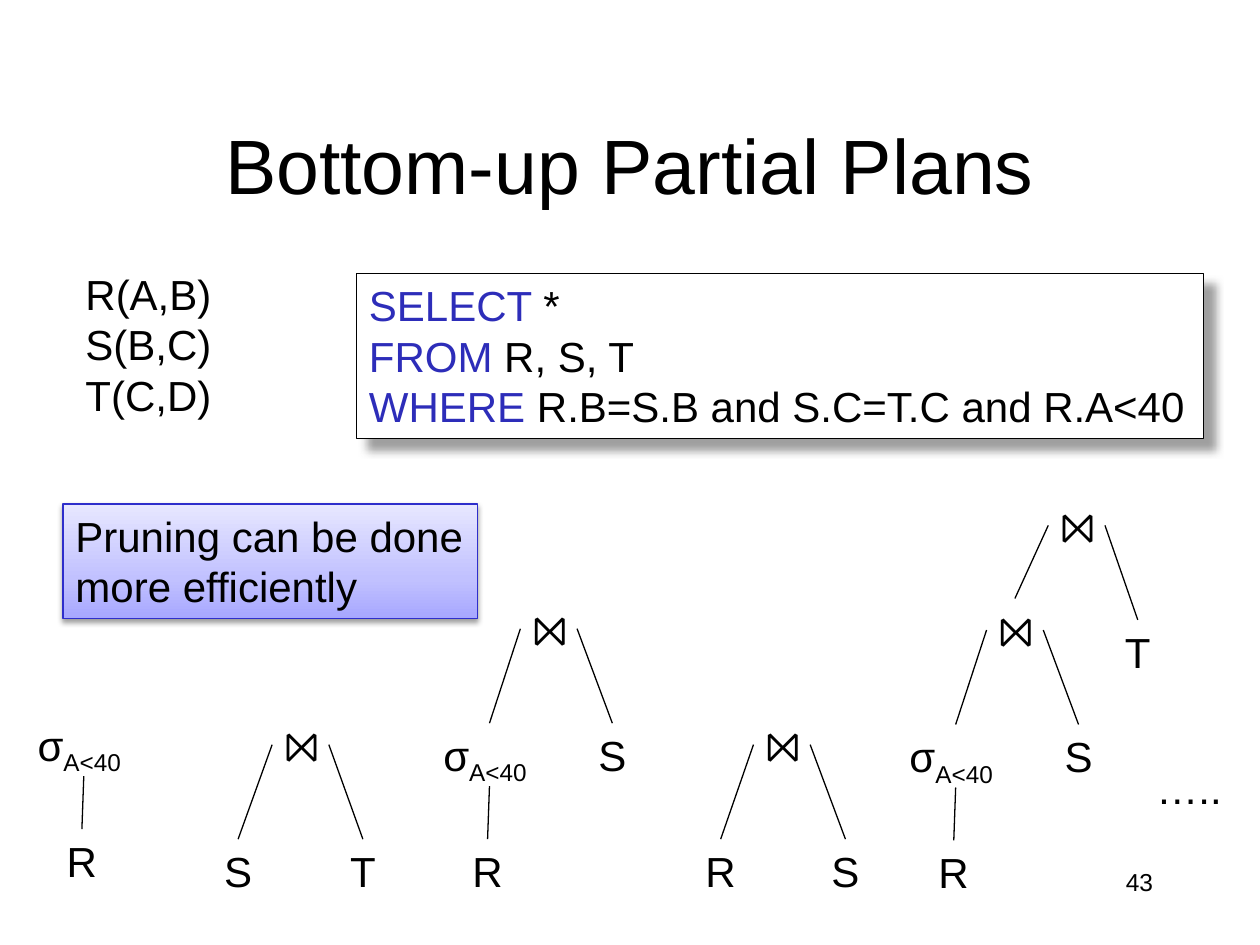
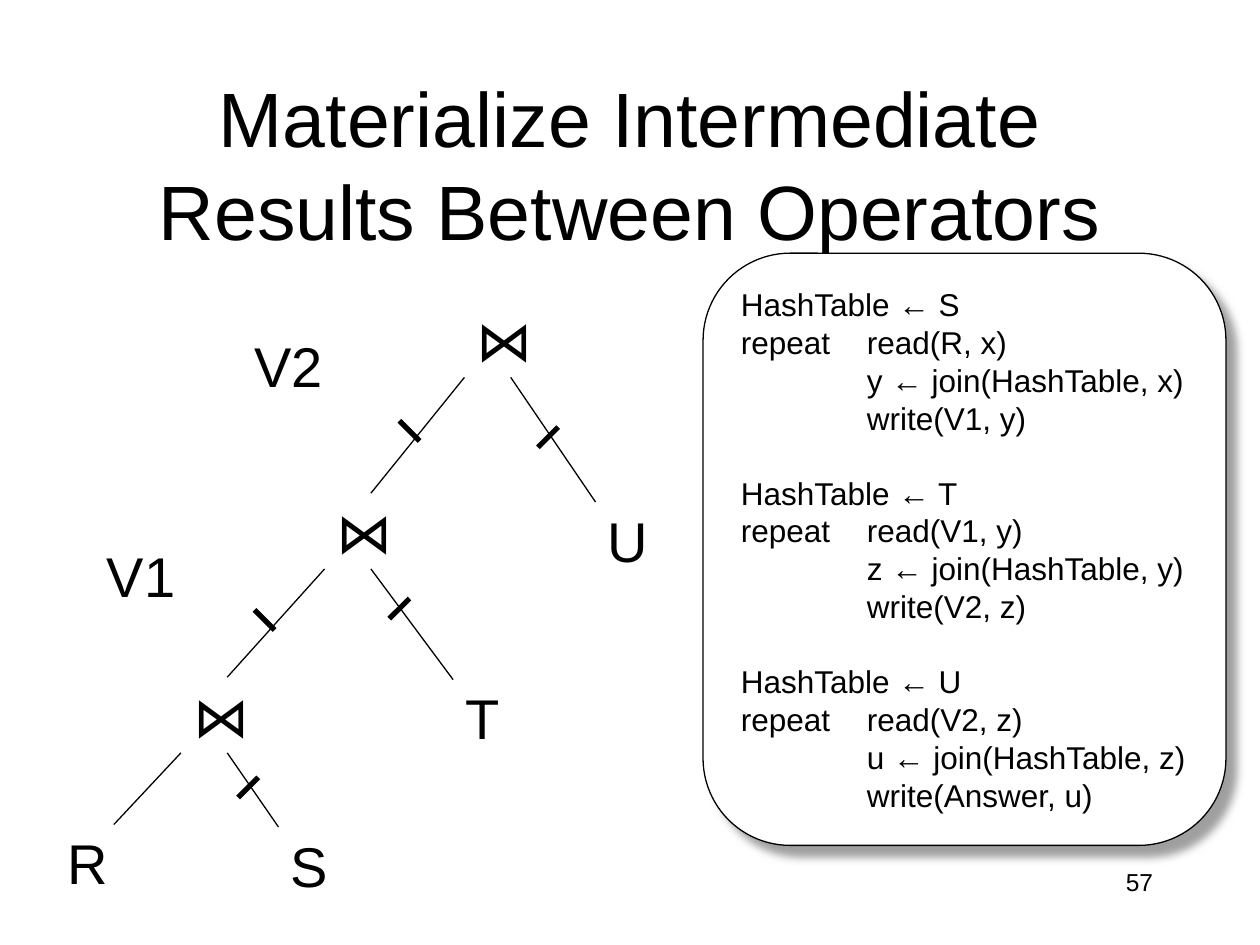
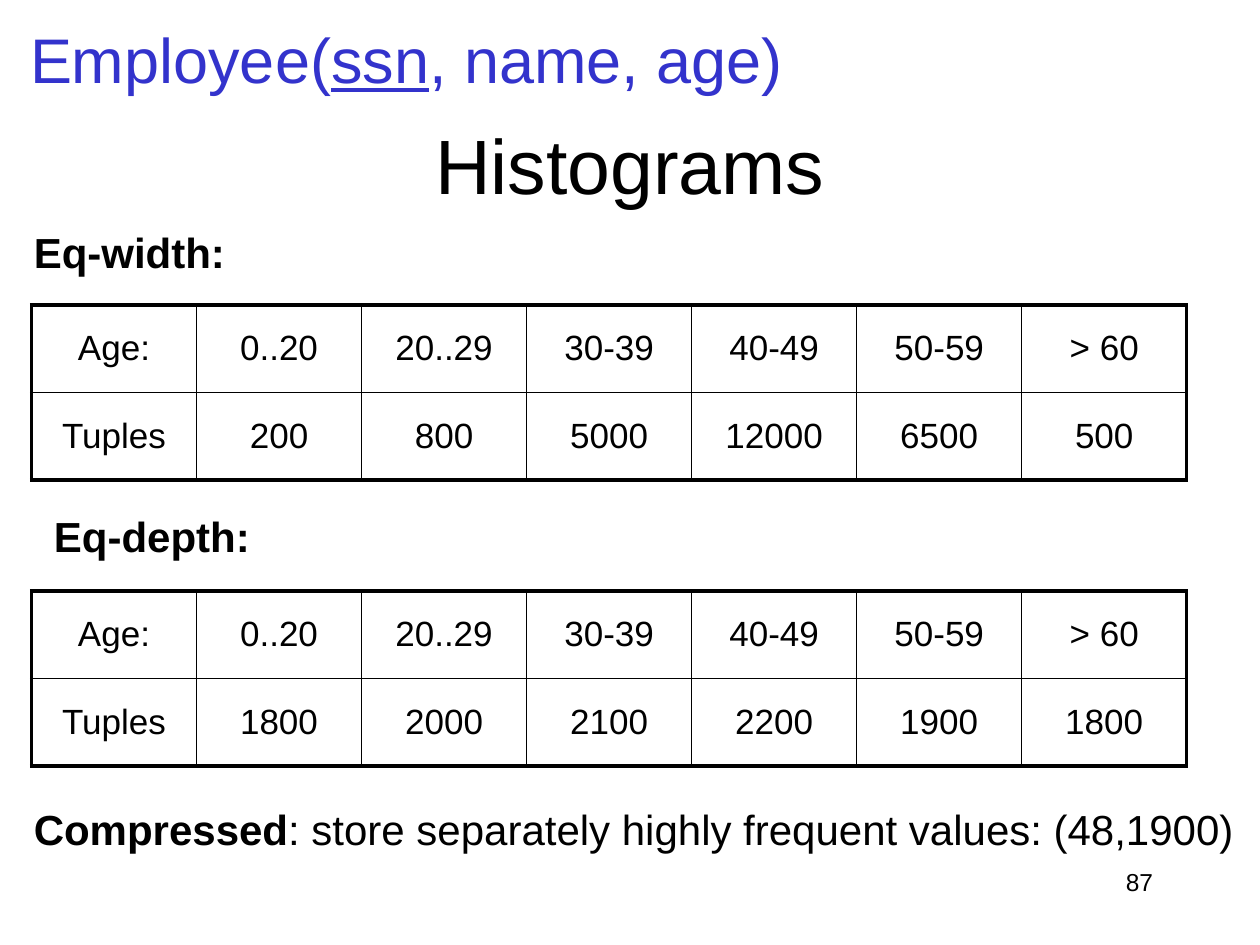
from math import sqrt

from lxml.etree import SubElement
from pptx import Presentation
from pptx.dml.color import RGBColor
from pptx.enum.shapes import MSO_CONNECTOR, MSO_SHAPE
from pptx.enum.text import MSO_ANCHOR, MSO_AUTO_SIZE, PP_ALIGN
from pptx.oxml.ns import qn
from pptx.util import Inches, Pt

BLACK = RGBColor(0x00, 0x00, 0x00)
WHITE = RGBColor(0xFF, 0xFF, 0xFF)
GRAY = RGBColor(0x80, 0x80, 0x80)
KEYWORD = RGBColor(0x2D, 0x2D, 0xB9)
SCHEMA = RGBColor(0x33, 0x33, 0xCC)
NOTE_EDGE = RGBColor(0x2E, 0x2E, 0xCB)
NOTE_STOPS = [(0, "A7A7FF"), (35, "C1C1FF"), (100, "E7E7FF")]
FONT = "Arial"
WIDTH, HEIGHT = 10, 7.5
TITLE_AREA = (0.75, 0.67, 8.5, 1.25)
NUMBER_AREA = (7.17, 6.83, 2.08, 0.5)
# colour, opacity %, blur pt, distance pt, angle
PANEL_SHADOW = (GRAY, 75, 5, 8.5, 45)
NOTE_SHADOW = (BLACK, 38, 3.1, 1.6, 90)

# A paragraph is a list of (text, style) runs; \v is a line break.
BOLD, SUB, BLUE = {"bold": True}, {"baseline": -25}, {"color": KEYWORD}
RELATIONS = "R(A,B)\vS(B,C)\vT(C,D)"
QUERY = [
    [("SELECT ", BLUE), ("*", {})],
    [("FROM", BLUE), (" R, S, T", {})],
    [("WHERE", BLUE), (" R.B=S.B and S.C=T.C and R.A<40", {})],
]
NOTE = "Pruning can be done\vmore efficiently"

# Plan node: symbol, left, top, children
JOIN, SELECTION = "\u2a1d", "\u03c3"
PLAN_WIDTHS = {JOIN: 0.45, SELECTION: 0.93, "R": 0.44, "S": 0.42, "T": 0.4}
PLAN_HEIGHT = 0.5
PLANS = [
    (SELECTION, 0.2, 5.66, [("R", 0.43, 6.58, [])]),
    (JOIN, 2.16, 5.66, [("S", 1.68, 6.66, []), ("T", 2.68, 6.66, [])]),
    (JOIN, 4.13, 4.74, [
        (SELECTION, 3.42, 5.74, [("R", 3.65, 6.66, [])]),
        ("S", 4.65, 5.74, [])]),
    (JOIN, 5.98, 5.66, [("R", 5.5, 6.66, []), ("S", 6.5, 6.66, [])]),
    (JOIN, 8.32, 3.92, [
        (JOIN, 7.83, 4.75, [
            (SELECTION, 7.12, 5.75, [("R", 7.35, 6.67, [])]),
            ("S", 8.35, 5.75, [])]),
        ("T", 8.83, 4.92, [])]),
]

# Pipeline node: symbol, left, top, children as (node, centre of the tick or None)
BOWTIE = "\u22c8"
PIPELINE_WIDTHS = {BOWTIE: 0.52, "R": 0.66, "S": 0.62, "T": 0.59, "U": 0.66}
PIPELINE_HEIGHT = 0.85
TICK = 0.08
PIPELINE = (BOWTIE, 3.61, 2.27, [
    ((BOWTIE, 2.5, 3.79, [
        ((BOWTIE, 1.36, 5.25, [
            (("R", 0.34, 6.42, []), None),
            (("S", 2.12, 6.44, []), (1.97, 6.25))]), (2.1, 4.92)),
        (("T", 3.51, 5.27, []), (3.17, 4.83))]), (3.25, 3.42)),
    (("U", 4.63, 3.86, []), (4.35, 3.47)),
])
VIEWS = [("V1", 0.75, 4.25), ("V2", 1.92, 2.58)]
# hashed relation, source read, variable read, variable written, target
STEPS = [("S", "R", "x", "y", "V1"), ("T", "V1", "y", "z", "V2"),
         ("U", "V2", "z", "u", "Answer")]
STEP_TEXT = ("HashTable \u2190 {}\vrepeat\tread({}, {})\v"
             "\t{} \u2190 join(HashTable, {})\v\twrite({}, {})")
STEP_GAP, STEP_TAB = 21.3, 1

EMPLOYEE = [("Employee(", {}), ("ssn", {"underline": True}), (", name, age)", {})]
AGES = ["Age:", "0..20", "20..29", "30-39", "40-49", "50-59", "> 60"]
HISTOGRAMS = [
    ("Eq-width:", (0.17, 1.75, 1.72, 0.5), 2.42,
     ["Tuples", "200", "800", "5000", "12000", "6500", "500"]),
    ("Eq-depth:", (0.33, 4, 1.76, 0.5), 4.69,
     ["Tuples", "1800", "2000", "2100", "2200", "1900", "1800"]),
]
TABLE_LEFT, TABLE_WIDTH, TABLE_HEIGHT = 0.25, 9.17, 1.39
COMPRESSED = [("Compressed", BOLD),
              (": store separately highly frequent values: (48,1900)", {})]


def style_run(run, size, color=BLACK, bold=False, underline=False, baseline=0):
    """Give one run its font."""
    font = run.font
    font.name, font.size, font.bold, font.underline = FONT, Pt(size), bold, underline
    font.color.rgb = color
    if baseline:
        run._r.get_or_add_rPr().set("baseline", str(baseline * 1000))


def write(frame, paragraphs, size, color=BLACK, align=PP_ALIGN.LEFT,
          anchor=MSO_ANCHOR.TOP, wrap=False):
    """Fill a text frame from a string or from a list of paragraphs."""
    if isinstance(paragraphs, str):
        paragraphs = [[(paragraphs, {})]]
    frame.word_wrap = wrap
    frame.vertical_anchor = anchor
    frame.auto_size = MSO_AUTO_SIZE.NONE if wrap else MSO_AUTO_SIZE.SHAPE_TO_FIT_TEXT
    for index, runs in enumerate(paragraphs):
        paragraph = frame.add_paragraph() if index else frame.paragraphs[0]
        paragraph.alignment = align
        if len(runs) == 1:
            paragraph.text = runs[0][0]
            for run in paragraph.runs:
                style_run(run, size, **{"color": color, **runs[0][1]})
            continue
        for text, style in runs:
            run = paragraph.add_run()
            run.text = text
            style_run(run, size, **{"color": color, **style})


def add_text(slide, area, paragraphs, size, **options):
    """Add a text box over an area in inches."""
    box = slide.shapes.add_textbox(*map(Inches, area))
    write(box.text_frame, paragraphs, size, **options)
    return box.text_frame


def add_line(slide, start, end, weight=0.75):
    """Draw a black line without shadow."""
    line = slide.shapes.add_connector(MSO_CONNECTOR.STRAIGHT,
                                      *map(Inches, (*start, *end)))
    line.line.color.rgb = BLACK
    line.line.width = Pt(weight)
    SubElement(line._element.spPr, qn("a:effectLst"))


def add_shadow(shape, color, opacity, blur, distance, angle):
    """Replace the theme shadow by an outer one."""
    shape.shadow.inherit = False
    effects = shape._element.spPr.find(qn("a:effectLst"))
    outer = SubElement(effects, qn("a:outerShdw"), blurRad=str(Pt(blur)),
                       dist=str(Pt(distance)), dir=str(angle * 60000),
                       algn="tl", rotWithShape="0")
    tint = SubElement(outer, qn("a:srgbClr"), val=str(color))
    SubElement(tint, qn("a:alpha"), val=str(opacity * 1000))


def fill_gradient(shape, stops, angle):
    """Fill a shape with a linear gradient of (percent, hex) stops."""
    shape.fill.gradient()
    shape.fill.gradient_angle = 0
    gradient = shape._element.spPr.find(qn("a:gradFill"))
    gradient.find(qn("a:lin")).set("ang", str(angle * 60000))
    stop_list = gradient.find(qn("a:gsLst"))
    for stop in list(stop_list):
        stop_list.remove(stop)
    for percent, color in stops:
        stop = SubElement(stop_list, qn("a:gs"), pos=str(percent * 1000))
        SubElement(stop, qn("a:srgbClr"), val=color)


def add_panel(slide, kind, area, edge, shadow, stops=None):
    """Add an outlined, shadowed box, white or with a gradient."""
    panel = slide.shapes.add_shape(kind, *map(Inches, area))
    if stops:
        fill_gradient(panel, stops, 270)
    else:
        panel.fill.solid()
        panel.fill.fore_color.rgb = WHITE
    panel.line.color.rgb = edge
    panel.line.width = Pt(0.75)
    add_shadow(panel, *shadow)
    return panel


def draw_plan(slide, node):
    """Draw a plan tree and return the top centre of its root."""
    symbol, left, top, children = node
    width = PLAN_WIDTHS[symbol]
    runs = [(symbol, {})] + ([("A<40", SUB)] if symbol == SELECTION else [])
    add_text(slide, (left, top, width, PLAN_HEIGHT), [runs], 24)
    center, middle = left + width / 2, top + PLAN_HEIGHT / 2
    if len(children) == 1:
        starts = [(center, top + PLAN_HEIGHT)]
    else:
        starts = [(left, middle), (left + width, middle)]
    for start, child in zip(starts, children):
        add_line(slide, start, draw_plan(slide, child))
    return center, top


def draw_pipeline(slide, node):
    """Draw an operator tree; return the root's centre and diagonal reach."""
    symbol, left, top, children = node
    width, height = PIPELINE_WIDTHS[symbol], PIPELINE_HEIGHT
    oval = slide.shapes.add_shape(MSO_SHAPE.OVAL,
                                  *map(Inches, (left, top, width, height)))
    oval.shadow.inherit = False
    oval.fill.background()
    oval.line.fill.background()
    write(oval.text_frame, symbol, 32, align=PP_ALIGN.CENTER,
          anchor=MSO_ANCHOR.MIDDLE)
    x, y = left + width / 2, top + height / 2
    reach_x, reach_y = width / sqrt(8), height / sqrt(8)
    for side, (child, tick) in zip((-1, 1), children):
        child_x, child_y, child_rx, child_ry = draw_pipeline(slide, child)
        add_line(slide, (x + side * reach_x, y + reach_y),
                 (child_x - side * child_rx, child_y - child_ry))
        if tick:
            tick_x, tick_y = tick
            add_line(slide, (tick_x + side * TICK, tick_y - TICK),
                     (tick_x - side * TICK, tick_y + TICK), 3)
    return x, y, reach_x, reach_y


def set_border(cell, row, column, rows, columns):
    """Rule a cell: thick on the table's rim, thin inside."""
    properties = cell._tc.get_or_add_tcPr()
    rims = [("L", column == 0), ("R", column == columns - 1),
            ("T", row == 0), ("B", row == rows - 1)]
    for side, on_rim in rims:
        rule = SubElement(properties, qn("a:ln" + side),
                          w=str(Pt(2.25 if on_rim else 1)))
        solid = SubElement(rule, qn("a:solidFill"))
        SubElement(solid, qn("a:srgbClr"), val=str(BLACK))


def add_histogram(slide, top, rows):
    """Add a histogram table of equal columns and rows."""
    count = len(rows[0])
    area = (TABLE_LEFT, top, TABLE_WIDTH, TABLE_HEIGHT)
    table = slide.shapes.add_table(len(rows), count, *map(Inches, area)).table
    table.first_row = table.horz_banding = False
    for r, values in enumerate(rows):
        for c, value in enumerate(values):
            cell = table.cell(r, c)
            set_border(cell, r, c, len(rows), count)
            cell.fill.background()
            cell.vertical_anchor = MSO_ANCHOR.MIDDLE
            paragraph = cell.text_frame.paragraphs[0]
            paragraph.text = value
            paragraph.alignment = PP_ALIGN.CENTER
            style_run(paragraph.runs[0], 20)


def new_slide(deck, title, number):
    """Add a blank slide with the shared title and slide number."""
    slide = deck.slides.add_slide(deck.slide_layouts[6])
    add_text(slide, TITLE_AREA, title, 44, align=PP_ALIGN.CENTER,
             anchor=MSO_ANCHOR.MIDDLE, wrap=True)
    add_text(slide, NUMBER_AREA, str(number), 14, align=PP_ALIGN.RIGHT, wrap=True)
    return slide


def build_plans(deck):
    """Slide of partial plans for the query."""
    slide = new_slide(deck, "Bottom-up Partial Plans", 43)
    query = add_panel(slide, MSO_SHAPE.RECTANGLE, (2.83, 2.17, 6.72, 1.31),
                      BLACK, PANEL_SHADOW)
    write(query.text_frame, QUERY, 24)
    add_text(slide, (0.58, 2.08, 1.2, 1.3), RELATIONS, 24)
    for plan in PLANS:
        draw_plan(slide, plan)
    add_text(slide, (9.08, 6, 0.72, 0.5), "\u2026..", 24)
    note = add_panel(slide, MSO_SHAPE.RECTANGLE, (0.5, 4, 3.29, 0.91),
                     NOTE_EDGE, NOTE_SHADOW, NOTE_STOPS)
    write(note.text_frame, NOTE, 24)


def build_pipeline(deck):
    """Slide of the operator tree and its pseudocode."""
    slide = new_slide(deck, "Materialize Intermediate Results Between Operators", 57)
    draw_pipeline(slide, PIPELINE)
    code = add_panel(slide, MSO_SHAPE.ROUNDED_RECTANGLE, (5.58, 2.01, 4.15, 4.7),
                     BLACK, PANEL_SHADOW)
    steps = [[(STEP_TEXT.format(hashed, source, read, made, read, target, made), {})]
             for hashed, source, read, made, target in STEPS]
    write(code.text_frame, steps, 18, anchor=MSO_ANCHOR.MIDDLE)
    for index, paragraph in enumerate(code.text_frame.paragraphs):
        paragraph.space_before = Pt(STEP_GAP if index else 0)
        tabs = SubElement(paragraph._p.get_or_add_pPr(), qn("a:tabLst"))
        SubElement(tabs, qn("a:tab"), pos=str(Inches(STEP_TAB)), algn="l")
    for view, left, top in VIEWS:
        add_text(slide, (left, top, 0.76, 0.63), view, 32)


def build_histograms(deck):
    """Slide of the two histogram tables."""
    slide = new_slide(deck, "Histograms", 87)
    schema = add_text(slide, (0.14, 0.18, 6.2, 0.64), [EMPLOYEE], 36, color=SCHEMA)
    schema.paragraphs[0].line_spacing = 0.9
    for heading, area, top, tuples in HISTOGRAMS:
        add_text(slide, area, [[(heading, BOLD)]], 24)
        add_histogram(slide, top, [AGES, tuples])
    add_text(slide, (0.17, 6.33, 9.73, 0.5), [COMPRESSED], 24)


deck = Presentation()
deck.slide_width, deck.slide_height = Inches(WIDTH), Inches(HEIGHT)
for build in (build_plans, build_pipeline, build_histograms):
    build(deck)
deck.save("out.pptx")
